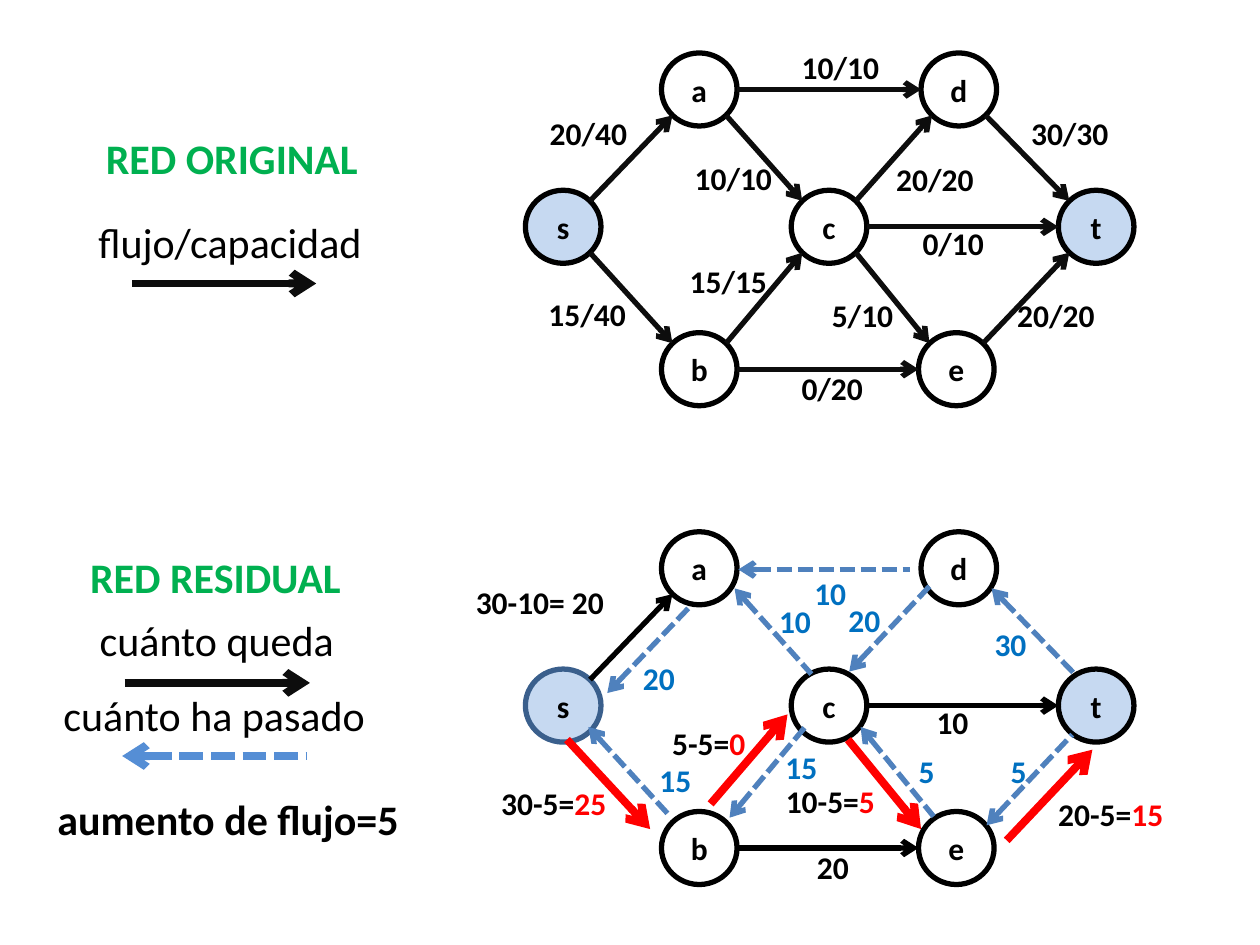
import dataclasses
import typing

import lxml.etree
import pptx
import pptx.dml.color
import pptx.enum.dml
import pptx.enum.shapes
import pptx.enum.text
import pptx.oxml.ns
import pptx.util

Inches = pptx.util.Inches


@dataclasses.dataclass(frozen=True)
class Theme:
    font: str = "Calibri"
    small: int = 18
    large: int = 24
    black: str = "000000"
    ink: str = "0D0D0D"
    red: str = "FF0000"
    green: str = "00B050"
    blue: str = "0070C0"
    dash: str = "4F81BD"
    key: str = "558ED5"
    pale: str = "C6D9F1"
    rim: str = "3A5F8C"
    thin: float = 3
    thick: float = 4.5


THEME = Theme()


class Label(typing.NamedTuple):
    left: float
    top: float
    width: float
    text: str
    accent: str = ""
    color: str = THEME.black
    size: int = THEME.small
    bold: bool = True
    wrap: bool = False


class Arrow(typing.NamedTuple):
    x1: float
    y1: float
    x2: float
    y2: float
    color: str
    width: float = THEME.thin
    dashed: bool = False


NODE_W, NODE_H = 0.6, 0.58
DROP = 3.8  # distance from the upper network to the lower one
NODES = {
    "s": (4.47, 1.8), "a": (5.55, 0.71), "b": (5.55, 2.93), "c": (6.58, 1.8),
    "d": (7.61, 0.71), "e": (7.59, 2.93), "t": (8.7, 1.8),
}
EDGES = ["sa", "sb", "be", "dt", "et", "ad", "ct", "ac", "ce", "bc", "cd"]
SPARE = ["sa", "be", "ct"]

FLOWS = [
    Label(6.26, 0.33, 0.82, "10/10"), Label(4.26, 0.86, 0.82, "20/40"),
    Label(8.08, 0.86, 0.82, "30/30"), Label(5.41, 1.21, 0.82, "10/10"),
    Label(7.22, 1.73, 0.69, "0/10"), Label(7.97, 2.3, 0.82, "20/20"),
    Label(4.25, 2.29, 0.82, "15/40"), Label(6.26, 2.88, 0.69, "0/20"),
    Label(5.37, 2.03, 0.82, "15/15"), Label(7.01, 1.22, 0.82, "20/20"),
    Label(6.5, 2.3, 0.69, "5/10"),
]
RESTS = [
    Label(3.67, 4.58, 1.23, "30-10= 20"), Label(7.33, 5.53, 0.46, "10"),
    Label(8.29, 6.26, 1.05, "20-5=", "15"), Label(3.87, 6.17, 1.05, "30-5=", "25"),
    Label(6.38, 6.68, 0.46, "20"), Label(5.23, 5.7, 0.79, "5-5=", "0"),
    Label(6.13, 6.16, 0.92, "10-5=", "5"),
]
ROUTE = [
    (4.5, 5.87, 5.16, 6.58), (7.99, 6.67, 8.67, 5.95),
    (6.73, 5.87, 7.31, 6.58), (5.64, 6.38, 6.25, 5.67),
]
BACK = [
    (4.82, 5.5, 5.48, 4.81), (5.86, 4.52, 7.22, 4.52), (7.87, 4.67, 8.53, 5.35),
    (5.83, 4.67, 6.44, 5.35), (6.74, 5.33, 7.39, 4.64), (4.67, 5.77, 5.32, 6.48),
    (5.79, 6.49, 6.39, 5.77), (6.83, 5.77, 7.41, 6.48), (7.83, 6.55, 8.51, 5.83),
]
BACK_FLOWS = [
    (5, 5.18, 0.46, "20"), (6.36, 4.51, 0.46, "10"), (7.79, 4.91, 0.46, "30"),
    (6.08, 4.73, 0.46, "10"), (6.63, 4.72, 0.46, "20"), (5.13, 5.99, 0.46, "15"),
    (6.13, 5.89, 0.46, "15"), (7.19, 5.92, 0.33, "5"), (7.92, 5.92, 0.33, "5"),
]
LEGEND = [
    Label(0.63, 1, 2.42, "RED ORIGINAL", color=THEME.green, size=THEME.large, wrap=True),
    Label(0.67, 1.67, 2.31, "flujo/capacidad", size=THEME.large, bold=False),
    Label(0.5, 4.33, 2.42, "RED RESIDUAL", color=THEME.green, size=THEME.large, wrap=True),
    Label(0.68, 4.83, 2.08, "cuánto queda", size=THEME.large, bold=False),
    Label(0.39, 5.42, 2.62, "cuánto ha pasado", size=THEME.large, bold=False),
    Label(0.34, 6.25, 2.94, "aumento de flujo=5", size=THEME.large),
]
KEYS = [
    Arrow(1.05, 2.25, 2.51, 2.25, THEME.ink, THEME.thick),
    Arrow(0.99, 5.42, 2.46, 5.42, THEME.ink, THEME.thick),
    Arrow(0.97, 6, 2.43, 6, THEME.key, THEME.thick, True),
]


def rgb(code: str) -> pptx.dml.color.RGBColor:
    return pptx.dml.color.RGBColor.from_string(code)


def style_run(run, color: str, size: int, bold: bool) -> None:
    run.font.name = THEME.font
    run.font.size = pptx.util.Pt(size)
    run.font.bold = bold
    run.font.color.rgb = rgb(color)


def draw_label(shapes, item: Label) -> None:
    height = 0.4 if item.size == THEME.small else 0.5
    box = shapes.add_textbox(
        Inches(item.left), Inches(item.top), Inches(item.width), Inches(height))
    frame = box.text_frame
    frame.word_wrap = item.wrap
    frame.auto_size = pptx.enum.text.MSO_AUTO_SIZE.SHAPE_TO_FIT_TEXT
    frame.text = item.text
    para = frame.paragraphs[0]
    para.alignment = pptx.enum.text.PP_ALIGN.CENTER
    style_run(para.runs[0], item.color, item.size, item.bold)
    if item.accent:
        run = para.add_run()
        run.text = item.accent
        style_run(run, THEME.red, item.size, item.bold)


def draw_arrow(shapes, item: Arrow) -> None:
    """Draw a line; a dashed one has its head at the first point."""
    line = shapes.add_connector(
        pptx.enum.shapes.MSO_CONNECTOR.STRAIGHT,
        Inches(item.x1), Inches(item.y1), Inches(item.x2), Inches(item.y2))
    line.line.color.rgb = rgb(item.color)
    line.line.width = pptx.util.Pt(item.width)
    if item.dashed:
        line.line.dash_style = pptx.enum.dml.MSO_LINE.SQUARE_DOT
    props = line._element.spPr
    qn = pptx.oxml.ns.qn
    tip = "a:headEnd" if item.dashed else "a:tailEnd"
    lxml.etree.SubElement(props.find(qn("a:ln")), qn(tip), type="arrow")
    lxml.etree.SubElement(props, qn("a:effectLst"))


def draw_node(shapes, name: str, drop: float, rim: str) -> None:
    x, y = NODES[name]
    node = shapes.add_shape(
        pptx.enum.shapes.MSO_SHAPE.OVAL, Inches(x - NODE_W / 2),
        Inches(y + drop - NODE_H / 2), Inches(NODE_W), Inches(NODE_H))
    node.shadow.inherit = False
    if name in "st":
        node.fill.solid()
        node.fill.fore_color.rgb = rgb(THEME.pale)
    else:
        node.fill.background()
    node.line.color.rgb = rgb(rim)
    node.line.width = pptx.util.Pt(THEME.thin)
    frame = node.text_frame
    frame.word_wrap = False
    frame.vertical_anchor = pptx.enum.text.MSO_ANCHOR.MIDDLE
    frame.text = name
    frame.paragraphs[0].alignment = pptx.enum.text.PP_ALIGN.CENTER
    style_run(frame.paragraphs[0].runs[0], THEME.black, THEME.small, True)


def link(edge: str, drop: float, color: str) -> Arrow:
    """Join two nodes rim to rim, at the side or the 45-degree point."""
    (x1, y1), (x2, y2) = NODES[edge[0]], NODES[edge[1]]
    turn = (y2 > y1) - (y2 < y1)
    reach = 0.71 if turn else 1
    dx = NODE_W / 2 * reach
    dy = NODE_H / 2 * reach * turn
    return Arrow(x1 + dx, y1 + drop + dy, x2 - dx, y2 + drop - dy, color)


def draw_net(slide, drop: float, rim: str, arrows: list[Arrow],
             labels: list[Label]) -> None:
    shapes = slide.shapes.add_group_shape().shapes
    for name in NODES:
        draw_node(shapes, name, drop, rim if name == "s" else THEME.black)
    for item in arrows:
        draw_arrow(shapes, item)
    for item in labels:
        draw_label(shapes, item)


def main() -> None:
    deck = pptx.Presentation()
    deck.slide_width, deck.slide_height = Inches(10), Inches(7.5)
    slide = deck.slides.add_slide(deck.slide_layouts[6])
    draw_net(slide, 0, THEME.black, [link(edge, 0, THEME.ink) for edge in EDGES], FLOWS)
    spare = [link(edge, DROP, THEME.black) for edge in SPARE]
    route = [Arrow(*ends, THEME.red, THEME.thick) for ends in ROUTE]
    draw_net(slide, DROP, THEME.rim, spare + route, RESTS)
    back = [Arrow(*ends, THEME.dash, dashed=True) for ends in BACK]
    for item in back + KEYS:
        draw_arrow(slide.shapes, item)
    for item in [Label(*spot, color=THEME.blue) for spot in BACK_FLOWS] + LEGEND:
        draw_label(slide.shapes, item)
    deck.save("out.pptx")


if __name__ == "__main__":
    main()
